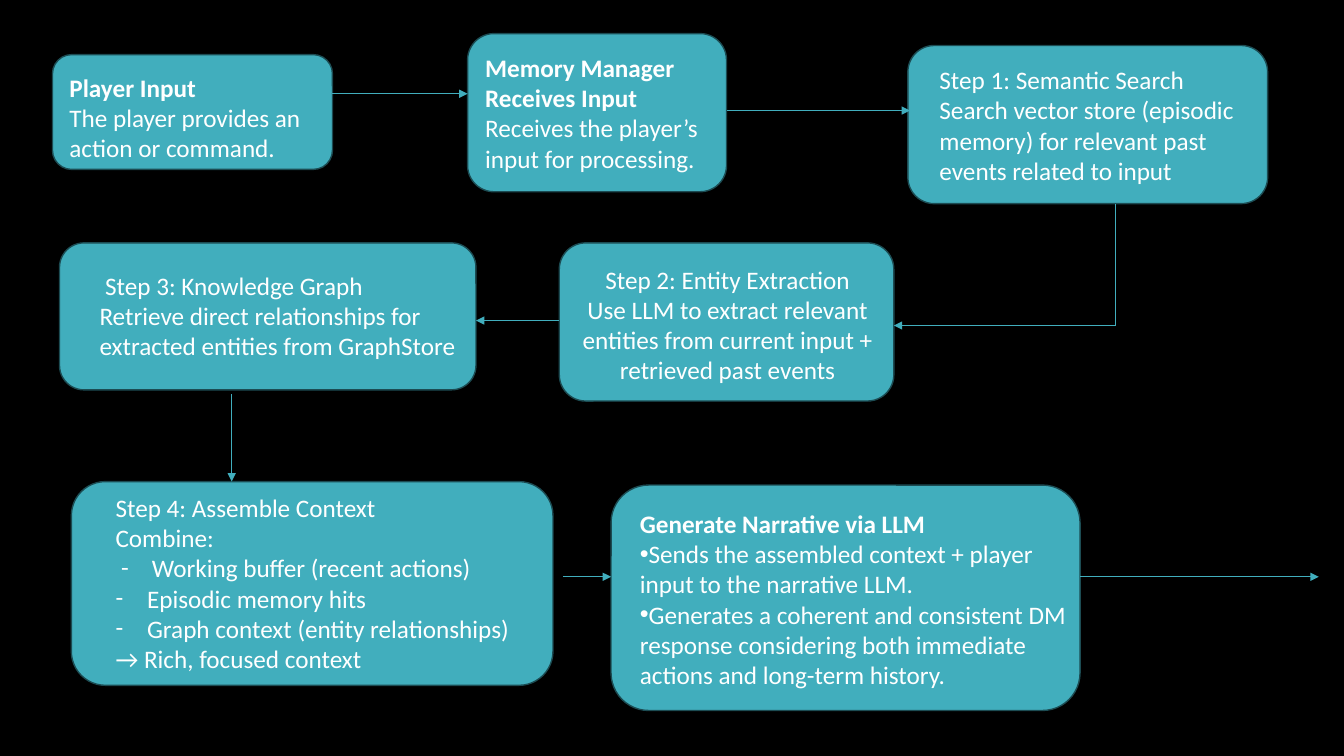
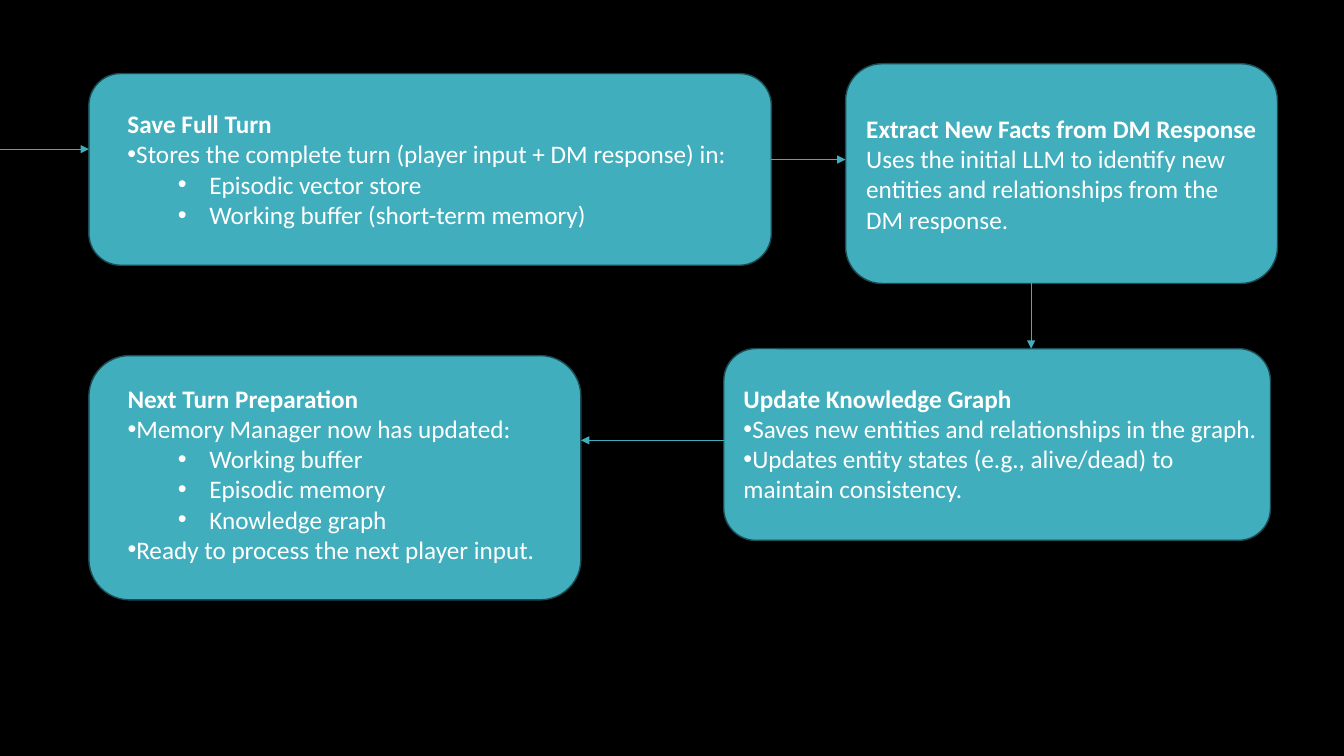
import dataclasses

import lxml.etree
import pptx
import pptx.dml.color
import pptx.enum.shapes
import pptx.enum.text
import pptx.oxml.ns
import pptx.util

Pt = pptx.util.Pt
qn = pptx.oxml.ns.qn
LEFT = pptx.enum.text.PP_ALIGN.LEFT
MID = pptx.enum.text.PP_ALIGN.CENTER


# Shared look
@dataclasses.dataclass(frozen=True)
class Theme:
    back: str = "000000"
    fill: str = "41AEBD"
    edge: str = "1C4C53"
    ink: str = "FFFFFF"
    font: str = "Calibri"
    size: float = 18
    rim: float = 1
    wire: float = 0.5


@dataclasses.dataclass(frozen=True)
class Style:
    bold: bool = False
    mark: str = ""
    face: str = "Arial"
    left: float = 0
    hang: float = 0
    level: int = 0
    align: int = LEFT


THEME = Theme()
STYLES = {
    "head": Style(bold=True),
    "text": Style(),
    "lead": Style(left=4),
    "mid": Style(align=MID),
    "dot": Style(mark="•"),
    "sub": Style(mark="•", left=58.5, hang=22.5, level=1),
    "dash": Style(mark="-", face="Calibri", left=22.5, hang=22.5),
    "first": Style(mark="-", face="Calibri", left=26, hang=22),
}


def color(code):
    return pptx.dml.color.RGBColor.from_string(code)


# Text
def write(frame, paras):
    frame.word_wrap = True
    for i, (kind, words) in enumerate(paras):
        style = STYLES[kind]
        para = frame.paragraphs[0] if i == 0 else frame.add_paragraph()
        para.alignment = style.align
        para.level = style.level
        props = para._p.get_or_add_pPr()
        props.set("marL", str(Pt(style.left)))
        props.set("indent", str(-Pt(style.hang)))
        if style.mark:
            face = lxml.etree.SubElement(props, qn("a:buFont"))
            face.set("typeface", style.face)
            mark = lxml.etree.SubElement(props, qn("a:buChar"))
            mark.set("char", style.mark)
        run = para.add_run()
        run.text = words
        run.font.name = THEME.font
        run.font.size = Pt(THEME.size)
        run.font.bold = style.bold
        run.font.color.rgb = color(THEME.ink)


def note(slide, area, paras):
    frame = slide.shapes.add_textbox(*map(Pt, area)).text_frame
    write(frame, paras)
    frame.auto_size = pptx.enum.text.MSO_AUTO_SIZE.SHAPE_TO_FIT_TEXT


# Rounded card, with its text centred in height if given
def card(slide, area, paras=()):
    kind = pptx.enum.shapes.MSO_SHAPE.ROUNDED_RECTANGLE
    shape = slide.shapes.add_shape(kind, *map(Pt, area))
    shape.shadow.inherit = False
    shape.fill.solid()
    shape.fill.fore_color.rgb = color(THEME.fill)
    shape.line.color.rgb = color(THEME.edge)
    shape.line.width = Pt(THEME.rim)
    if paras:
        shape.text_frame.vertical_anchor = pptx.enum.text.MSO_ANCHOR.MIDDLE
        write(shape.text_frame, paras)


# Straight line, with an arrowhead at its end unless told otherwise
def link(slide, ends, head=True):
    kind = pptx.enum.shapes.MSO_CONNECTOR.STRAIGHT
    wire = slide.shapes.add_connector(kind, *map(Pt, ends))
    wire.line.color.rgb = color(THEME.fill)
    wire.line.width = Pt(THEME.wire)
    props = wire._element.spPr
    if head:
        tip = lxml.etree.SubElement(props.find(qn("a:ln")), qn("a:tailEnd"))
        tip.set("type", "triangle")
    lxml.etree.SubElement(props, qn("a:effectLst"))


# A slide is a list of (card area, text area or None, paragraphs), then arrows
def draw(deck, cards, arrows):
    slide = deck.slides.add_slide(deck.slide_layouts[6])
    for area, room, paras in cards:
        card(slide, area, () if room else paras)
        if room:
            note(slide, room, paras)
    for ends in arrows:
        link(slide, ends)
    return slide


# From player input to narrative
TURN = [
    ((37.5, 39, 200, 82), (42.5, 48, 196, 73), [
        ("head", "Player Input"),
        ("text", "The player provides an action or command."),
    ]),
    ((334, 24, 185, 113), None, [
        ("head", "Memory Manager Receives Input"),
        ("text", "Receives the player’s input for processing."),
    ]),
    ((648.5, 32.5, 257, 113), (664, 42.5, 241, 94.5), [
        ("text", "Step 1: Semantic Search"),
        ("text", "Search vector store (episodic memory) for relevant past "
                 "events related to input"),
    ]),
    ((399.5, 173.5, 239, 113), (395.5, 185, 248.5, 94.5), [
        ("mid", "Step 2: Entity Extraction"),
        ("mid", "Use LLM to extract relevant entities from current input + "
                "retrieved past events"),
    ]),
    ((42.5, 173.5, 297.5, 105), (64, 189.5, 286, 72.5), [
        ("lead", "Step 3: Knowledge Graph"),
        ("text", "Retrieve direct relationships for extracted entities "
                 "from GraphStore"),
    ]),
    ((51, 344, 344, 145.5), (75.5, 348, 324, 138), [
        ("text", "Step 4: Assemble Context"),
        ("text", "Combine:"),
        ("first", "Working buffer (recent actions)"),
        ("dash", "Episodic memory hits"),
        ("dash", "Graph context (entity relationships)"),
        ("text", "→ Rich, focused context"),
    ]),
    ((436.5, 346.5, 335, 161), (450, 359.5, 335, 138), [
        ("head", "Generate Narrative via LLM"),
        ("dot", "Sends the assembled context + player input to the "
                "narrative LLM."),
        ("dot", "Generates a coherent and consistent DM response considering "
                "both immediate actions and long-term history."),
    ]),
]
TURN_ARROWS = [
    (237.5, 67, 334, 67),
    (519, 79, 650, 79),
    (797, 232.5, 638.5, 232.5),
    (399.5, 229, 340, 229),
    (165.5, 281.5, 165.5, 344),
    (402, 412, 436.5, 412),
    (771.5, 412, 942, 412),
]
TURN_DROP = (797, 145.5, 797, 232.5)

# From saved turn to the next one
SAVE = [
    ((63.5, 52.5, 487.5, 137), (84, 74, 457, 94.5), [
        ("head", "Save Full Turn"),
        ("dot", "Stores the complete turn (player input + DM response) in:"),
        ("sub", "Episodic vector store"),
        ("sub", "Working buffer (short-term memory)"),
    ]),
    ((604, 45.5, 308.5, 157), None, [
        ("head", "Extract New Facts from DM Response"),
        ("text", "Uses the initial LLM to identify new entities and "
                 "relationships from the DM response."),
    ]),
    ((517, 249, 390.5, 137), (524, 270, 390, 94.5), [
        ("head", "Update Knowledge Graph"),
        ("dot", "Saves new entities and relationships in the graph."),
        ("dot", "Updates entity states (e.g., alive/dead) to maintain "
                "consistency."),
    ]),
    ((63.5, 254, 351.5, 174.5), (84, 270, 480, 138), [
        ("head", "Next Turn Preparation"),
        ("dot", "Memory Manager now has updated:"),
        ("sub", "Working buffer"),
        ("sub", "Episodic memory"),
        ("sub", "Knowledge graph"),
        ("dot", "Ready to process the next player input."),
    ]),
]
SAVE_ARROWS = [
    (0, 106.5, 63.5, 106.5),
    (551, 114, 604, 114),
    (736.5, 202.5, 736.5, 249),
    (517, 314.5, 415, 314.5),
]


def main():
    deck = pptx.Presentation()
    deck.slide_width, deck.slide_height = Pt(960), Pt(540)
    back = deck.slide_master.background.fill
    back.solid()
    back.fore_color.rgb = color(THEME.back)

    turn = draw(deck, TURN, TURN_ARROWS)
    link(turn, TURN_DROP, head=False)
    draw(deck, SAVE, SAVE_ARROWS)
    deck.save("out.pptx")


if __name__ == "__main__":
    main()
